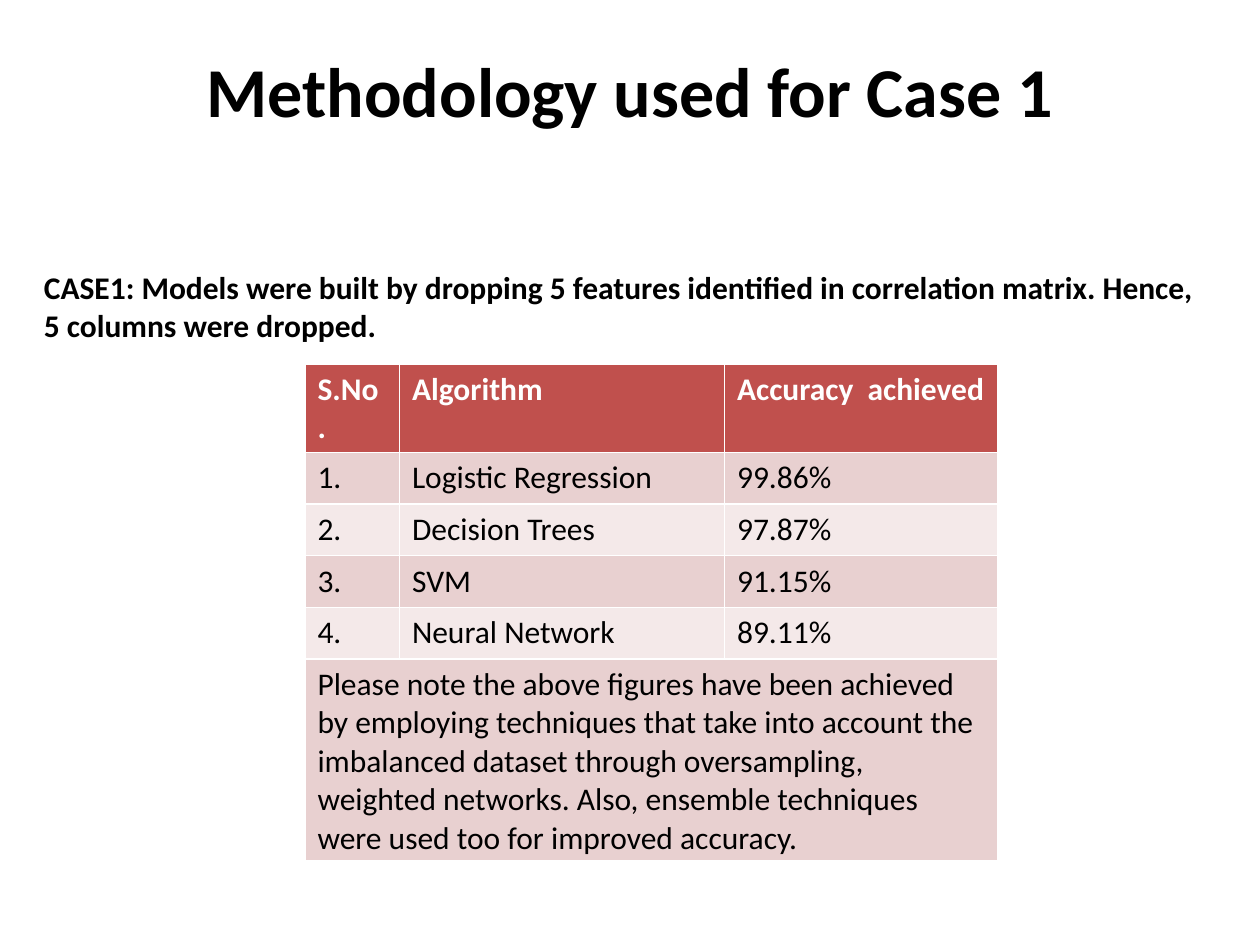
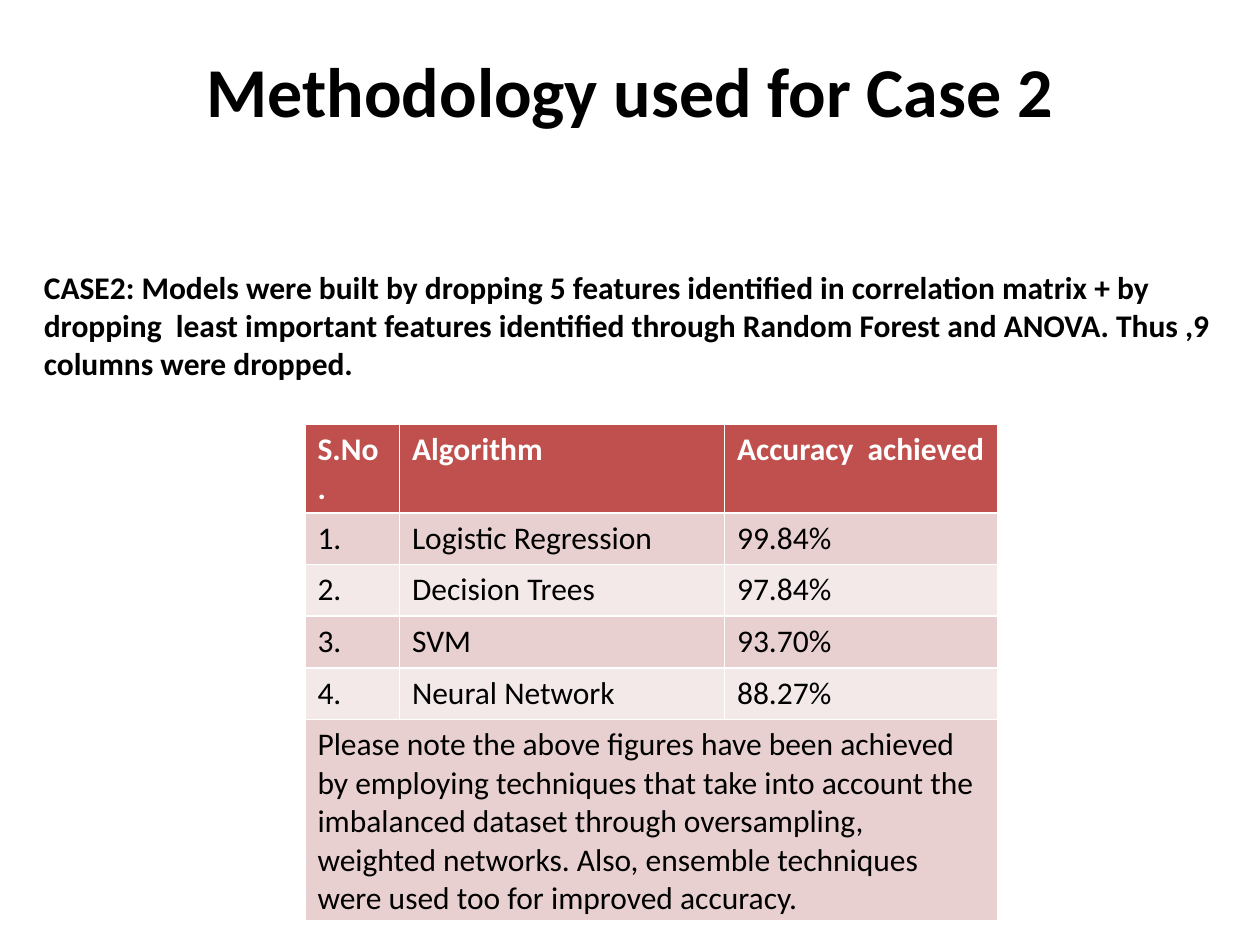
"""Build two slides that report model accuracy for two feature-dropping cases."""
import pptx
import pptx.dml.color
import pptx.enum.text
import pptx.util

Inches = pptx.util.Inches
Pt = pptx.util.Pt
RGBColor = pptx.dml.color.RGBColor

BLACK = RGBColor(0x00, 0x00, 0x00)
WHITE = RGBColor(0xFF, 0xFF, 0xFF)
HEADER_RED = RGBColor(0xC0, 0x50, 0x4D)
BANDS = (RGBColor(0xE8, 0xD0, 0xD0), RGBColor(0xF4, 0xE9, 0xE9))

HEADINGS = ("S.No.", "Algorithm", "Accuracy  achieved")
ALGORITHMS = ("Logistic Regression", "Decision Trees", "SVM", "Neural Network")
COLUMN_WIDTHS = (0.75, 2.58, 2.17)
ROW_HEIGHT = 0.41
NOTE = (
    "Please note the above figures have been achieved by employing techniques "
    "that take into account the imbalanced dataset through oversampling, "
    "weighted networks. Also, ensemble techniques were used too for improved accuracy."
)
CASES = (
    {
        "summary": "CASE1: Models were built by dropping 5 features identified in "
                   "correlation matrix. Hence, 5 columns were dropped.",
        "summary_height": 1.62,
        "table_top": 2.89,
        "accuracies": ("99.86%", "97.87%", "91.15%", "89.11%"),
    },
    {
        "summary": "CASE2: Models were built by dropping 5 features identified in "
                   "correlation matrix + by dropping  least important features "
                   "identified through Random Forest and ANOVA. Thus ,9 columns were dropped.",
        "summary_height": 1.92,
        "table_top": 3.37,
        "accuracies": ("99.84%", "97.84%", "93.70%", "88.27%"),
    },
)


class CaseDeck:
    FONT = "Calibri"
    TITLE_SIZE = 40
    BODY_SIZE = 18

    def __init__(self):
        self.deck = pptx.Presentation()
        self.deck.slide_width = Inches(10)
        self.deck.slide_height = Inches(7.5)
        self.page = None

    def add_page(self):
        self.page = self.deck.slides.add_slide(self.deck.slide_layouts[6])

    def style(self, para, size, color, bold):
        para.font.name = self.FONT
        para.font.size = Pt(size)
        para.font.bold = bold
        para.font.color.rgb = color

    def add_text(self, text, left, top, width, height, size):
        box = self.page.shapes.add_textbox(
            Inches(left), Inches(top), Inches(width), Inches(height))
        frame = box.text_frame
        frame.word_wrap = True
        frame.auto_size = pptx.enum.text.MSO_AUTO_SIZE.SHAPE_TO_FIT_TEXT
        para = frame.paragraphs[0]
        para.text = text
        self.style(para, size, BLACK, True)
        return para

    def add_title(self, text):
        para = self.add_text(text, 0, 0.33, 10, 0.77, self.TITLE_SIZE)
        para.alignment = pptx.enum.text.PP_ALIGN.CENTER

    def add_summary(self, text, height):
        self.add_text(text, 0.25, 2.08, 9.5, height, self.BODY_SIZE)

    def add_accuracy_table(self, top, accuracies):
        numbers = [f"{number}." for number in range(1, len(ALGORITHMS) + 1)]
        rows = [HEADINGS, *zip(numbers, ALGORITHMS, accuracies), (NOTE, "", "")]
        frame = self.page.shapes.add_table(
            len(rows), len(HEADINGS), Inches(2.42), Inches(top),
            Inches(sum(COLUMN_WIDTHS)), Inches(ROW_HEIGHT * len(rows)))
        table = frame.table
        for column, width in zip(table.columns, COLUMN_WIDTHS):
            column.width = Inches(width)
        for row_index, texts in enumerate(rows):
            table.rows[row_index].height = Inches(ROW_HEIGHT)
            header = row_index == 0
            fill = HEADER_RED if header else BANDS[(row_index - 1) % 2]
            for column_index, text in enumerate(texts):
                cell = table.cell(row_index, column_index)
                cell.fill.solid()
                cell.fill.fore_color.rgb = fill
                para = cell.text_frame.paragraphs[0]
                para.text = text
                self.style(para, self.BODY_SIZE, WHITE if header else BLACK, header)
        last = len(rows) - 1
        table.cell(last, 0).merge(table.cell(last, len(HEADINGS) - 1))
        frame.height = Inches(3.63)

    def save(self):
        self.deck.save("out.pptx")


def main():
    slides = CaseDeck()
    for number, case in enumerate(CASES, start=1):
        slides.add_page()
        slides.add_title(f"Methodology used for Case {number}")
        slides.add_summary(case["summary"], case["summary_height"])
        slides.add_accuracy_table(case["table_top"], case["accuracies"])
    slides.save()


main()
